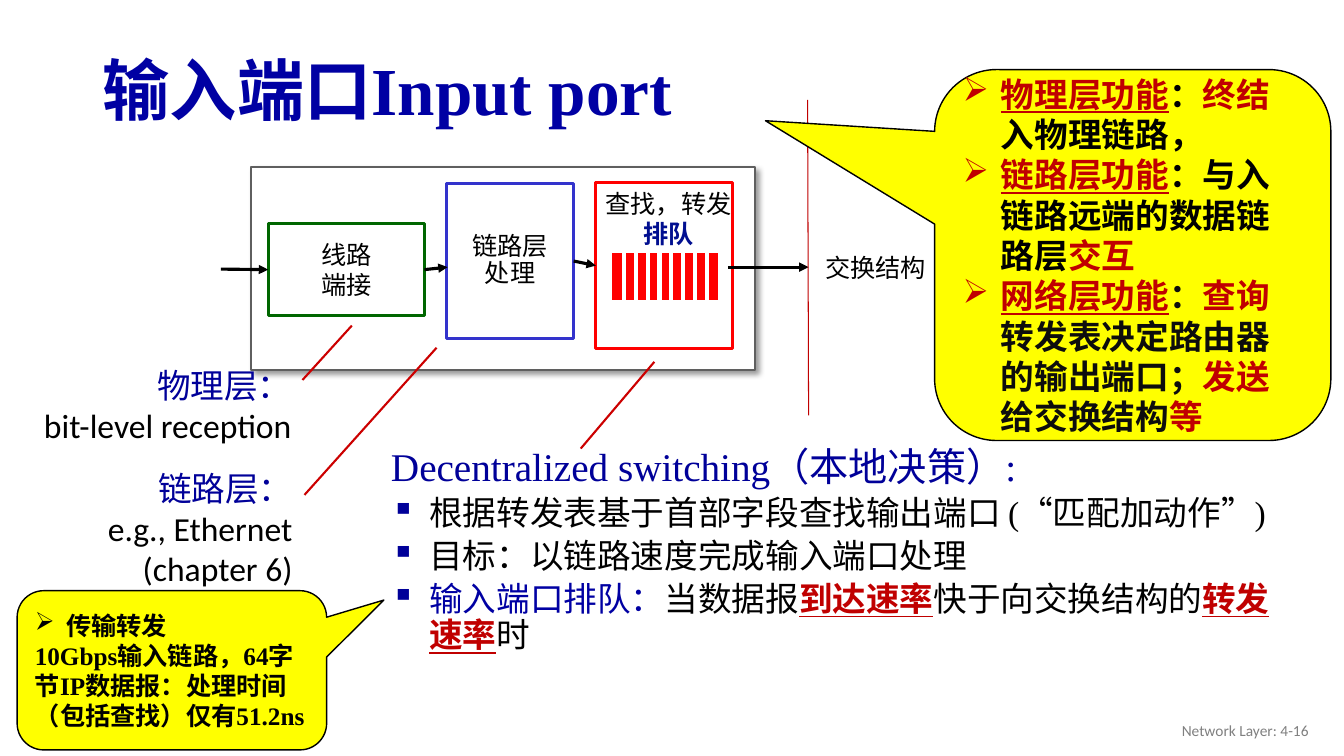
from dataclasses import dataclass
from typing import NamedTuple, Optional

from lxml.etree import SubElement
from pptx import Presentation
from pptx.dml.color import RGBColor
from pptx.enum.shapes import MSO_CONNECTOR as Connector, MSO_SHAPE as Preset
from pptx.enum.text import MSO_ANCHOR as Anchor, PP_ALIGN as Align
from pptx.oxml.ns import qn
from pptx.util import Inches, Pt

BLACK, INK, WHITE, YELLOW = "000000", "0D0D0D", "FFFFFF", "FFFF00"
NAVY, BLUE, RED, CRIMSON = "0000A3", "000099", "CC0000", "C00000"
SERIF, SANS, LABEL = "Times New Roman", "Arial", "Calibri"


class Span(NamedTuple):
    text: str
    color: str = BLACK
    bold: bool = False
    underline: bool = False


class Para(NamedTuple):
    spans: list[Span]
    size: Optional[float] = None
    bullet: str = ""
    bullet_color: str = BLACK
    indent: float = 0
    before: float = 0


@dataclass
class Box:
    left: float
    top: float
    width: float
    height: float
    paras: tuple[Para, ...] = ()
    size: float = 18
    font: str = SANS
    align: Align = Align.LEFT
    anchor: Anchor = Anchor.MIDDLE
    spacing: float = 1.0
    wrap: bool = True
    fill: str = ""
    line: str = ""
    weight: float = 1
    preset: Optional[Preset] = None
    adjust: tuple[float, ...] = ()


class Line(NamedTuple):
    x1: float
    y1: float
    x2: float
    y2: float
    color: str
    weight: float
    arrow: bool = False


def rgb(color: str) -> RGBColor:
    return RGBColor.from_string(color)


def plain(*lines: str, color: str = BLACK) -> tuple[Para, ...]:
    return tuple(Para([Span(line, color)]) for line in lines)


def write(frame, box: Box) -> None:
    settings = {"word_wrap": box.wrap, "vertical_anchor": box.anchor}
    for name, value in settings.items():
        setattr(frame, name, value)
    for index, item in enumerate(box.paras):
        para = frame.paragraphs[0] if index == 0 else frame.add_paragraph()
        props = para._p.get_or_add_pPr()
        if item.indent:
            props.set("marL", str(Inches(item.indent)))
            props.set("indent", str(-Inches(item.indent)))
        if item.bullet:
            tint = SubElement(props, qn("a:buClr"))
            SubElement(tint, qn("a:srgbClr")).set("val", item.bullet_color)
            SubElement(props, qn("a:buChar")).set("char", item.bullet)
        layout = {"alignment": box.align, "line_spacing": box.spacing}
        if item.before:
            layout["space_before"] = Pt(item.before)
        for name, value in layout.items():
            setattr(para, name, value)
        for span in item.spans:
            run = para.add_run()
            run.text = span.text
            style = {"name": box.font, "size": Pt(item.size or box.size),
                     "bold": span.bold, "underline": span.underline}
            for name, value in style.items():
                setattr(run.font, name, value)
            run.font.color.rgb = rgb(span.color)


def draw_box(page, box: Box):
    place = [Inches(n) for n in (box.left, box.top, box.width, box.height)]
    if box.preset is None:
        shape = page.shapes.add_textbox(*place)
    else:
        shape = page.shapes.add_shape(box.preset, *place)
        shape.shadow.inherit = False
        for index, value in enumerate(box.adjust):
            shape.adjustments[index] = value
        if box.fill:
            shape.fill.solid()
            shape.fill.fore_color.rgb = rgb(box.fill)
        else:
            shape.fill.background()
        if box.line:
            shape.line.color.rgb = rgb(box.line)
            shape.line.width = Pt(box.weight)
        else:
            shape.line.fill.background()
    write(shape.text_frame, box)
    return shape


def draw_line(page, line: Line):
    ends = [Inches(n) for n in line[:4]]
    connector = page.shapes.add_connector(Connector.STRAIGHT, *ends)
    connector.line.color.rgb = rgb(line.color)
    connector.line.width = Pt(line.weight)
    if line.arrow:
        outline = connector.line._get_or_add_ln()
        SubElement(outline, qn("a:tailEnd")).set("type", "triangle")
    SubElement(connector._element.spPr, qn("a:effectLst"))
    return connector


def drop_shadow(shape) -> None:
    effects = shape._element.spPr.find(qn("a:effectLst"))
    shadow = SubElement(effects, qn("a:outerShdw"), blurRad=str(Pt(4)),
                        dist=str(Pt(3)), dir="2700000", algn="tl", rotWithShape="0")
    tint = SubElement(shadow, qn("a:srgbClr"), val=BLACK)
    SubElement(tint, qn("a:alpha"), val="40000")


def draw_port(page) -> None:
    # Port chassis and its stages
    drop_shadow(draw_box(page, Box(2.49, 1.66, 5, 2.01, fill=WHITE, line="5F5F5F",
                                   weight=1.5, preset=Preset.RECTANGLE)))
    stage = {"align": Align.CENTER, "wrap": False, "weight": 2.25,
             "preset": Preset.RECTANGLE}
    draw_box(page, Box(8.11, 2.22, 1.15, 0.91, plain("交换结构"), spacing=0.9,
                       fill=WHITE, **stage))
    termination = draw_box(page, Box(2.66, 2.22, 1.55, 0.91, plain("线路", "端接"),
                                     fill=WHITE, line="006600", **stage))
    link = draw_box(page, Box(4.43, 1.82, 1.26, 1.54, plain("链路层", "处理"),
                              spacing=0.9, line="3333CC", **stage))
    queue = draw_box(page, Box(5.91, 1.81, 1.36, 1.65, line="FF0000", **stage))
    draw_box(page, Box(5.9, 1.82, 1.46, 0.71, (
        Para([Span("查找，转发")]), Para([Span("排队", "010F90", True)])),
        align=Align.CENTER, anchor=Anchor.TOP))

    # Queue slots
    draw_box(page, Box(6.05, 2.49, 1.09, 0.51, fill="FF0000", line=WHITE, weight=3,
                       preset=Preset.RECTANGLE))
    for slot in range(8):
        x = 6.19 + 0.117 * slot
        draw_line(page, Line(x, 2.5, x, 2.99, WHITE, 3))

    # Data flow
    arrive, to_link, to_queue, _ = [
        draw_line(page, Line(*ends, BLACK, 2.25, True)) for ends in (
            (2.19, 2.67, 2.66, 2.67), (4.21, 2.67, 4.44, 2.65),
            (5.69, 2.59, 5.91, 2.63), (7.22, 2.65, 8.02, 2.65))]
    arrive.end_connect(termination, 1)
    to_link.begin_connect(termination, 3)
    to_queue.begin_connect(link, 3)
    to_queue.end_connect(queue, 1)

    # Fabric edge and pointers to the notes
    draw_line(page, Line(8.01, 0.99, 8.02, 4.12, CRIMSON, 0.75))
    for ends in ((3, 3.77, 3.49, 3.23), (3.02, 4.91, 4.33, 3.45),
                 (5.76, 4.45, 6.49, 3.59)):
        draw_line(page, Line(*ends, RED, 1.5))


def draw_notes(page) -> None:
    # Layer notes
    note = {"size": 24, "font": LABEL, "align": Align.RIGHT,
            "anchor": Anchor.TOP, "wrap": False}
    draw_box(page, Box(0.28, 3.57, 2.71, 0.91, plain("物理层：", color=BLUE)
                       + plain("bit-level reception"), **note))
    draw_box(page, Box(0.95, 4.59, 2.05, 1.31, plain("链路层：", color=BLUE)
                       + plain("e.g., Ethernet", "(chapter 6)"), **note))

    # Switching list
    points = (
        [Span("根据转发表基于首部字段查找输出端口 (“匹配加动作”)")],
        [Span("目标：以链路速度完成输入端口处理")],
        [Span("输入端口排队：", NAVY), Span("当数据报"),
         Span("到达速率", CRIMSON, True, True), Span("快于向交换结构的"),
         Span("转发速率", CRIMSON, True, True), Span("时")])
    heading = Para([Span("Decentralized switching（本地决策）:", BLUE)], 28, indent=0.38)
    draw_box(page, Box(3.78, 4.39, 8.96, 2.92, (
        heading, *(Para(spans, None, "▪", BLUE, 0.38, 4.8) for spans in points)),
        size=24, font=SERIF, anchor=Anchor.TOP, spacing=0.9))


def draw_callouts(page) -> None:
    balloon = {"font": SERIF, "fill": YELLOW, "line": BLACK,
               "preset": Preset.ROUNDED_RECTANGULAR_CALLOUT}
    layers = (
        ("物理层功能", ("：", BLACK), ("终结", CRIMSON), ("入物理链路，", BLACK)),
        ("链路层功能", ("：与入链路远端的数据链路层", BLACK), ("交互", CRIMSON)),
        ("网络层功能", ("：", INK), ("查询", CRIMSON),
         ("转发表决定路由器的输出端口；", INK), ("发送", CRIMSON),
         ("给交换结构", INK), ("等", CRIMSON)))
    duties = tuple(
        Para([Span(name, CRIMSON, True, True), *(Span(*part, True) for part in parts)],
             None, "➢", CRIMSON, 0.38) for name, *parts in layers)
    draw_box(page, Box(9.27, 0.69, 3.93, 3.68, duties, size=24,
                       adjust=(-0.927, -0.362, 0.167), **balloon))
    timing = "10Gbps输入链路，64字节IP数据报：处理时间（包括查找）仅有51.2ns"
    draw_box(page, Box(0.17, 5.86, 3.07, 1.58, (
        Para([Span("传输转发", bold=True)], None, "➢", BLACK, 0.31),
        Para([Span(timing, bold=True)])), adjust=(0.685, -0.441, 0.167), **balloon))


def main() -> None:
    deck = Presentation()
    deck.slide_width, deck.slide_height = Inches(13.33), Inches(7.5)
    page = deck.slides.add_slide(deck.slide_layouts[6])
    draw_box(page, Box(0.92, 0.44, 11.5, 0.98, (
        Para([Span("输入端口Input port", NAVY, True)]),), 48, SERIF, spacing=0.9))
    draw_port(page)
    draw_notes(page)
    draw_box(page, Box(10.08, 7.05, 3, 0.4, plain("Network Layer: 4-16", color="808080"),
                       11, LABEL, Align.RIGHT))
    draw_callouts(page)
    deck.save("out.pptx")


if __name__ == "__main__":
    main()
